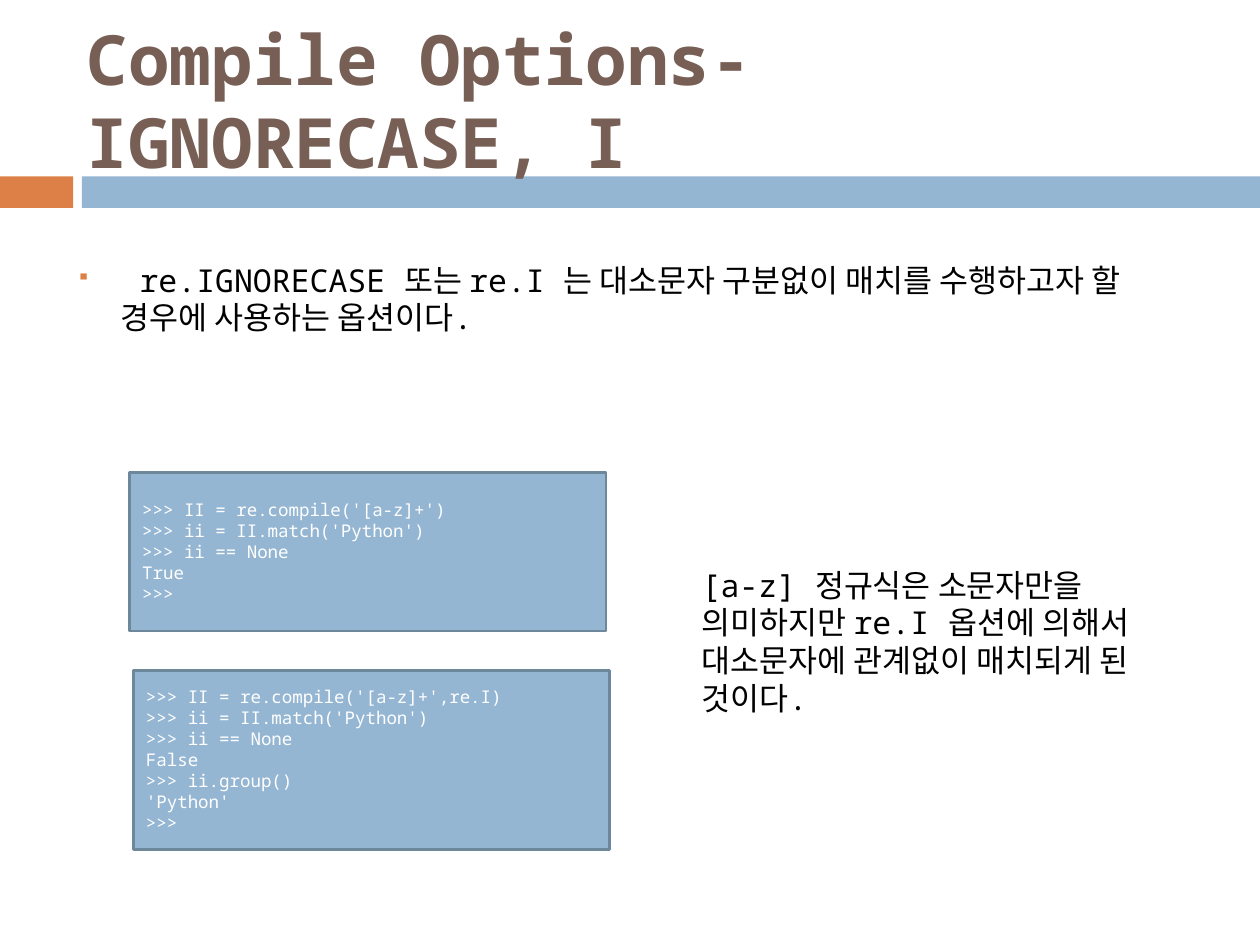
from lxml.etree import SubElement
from pptx import Presentation
from pptx.dml.color import RGBColor
from pptx.enum.shapes import MSO_SHAPE
from pptx.enum.text import MSO_ANCHOR, PP_ALIGN
from pptx.oxml.ns import qn
from pptx.util import Inches, Pt

COLORS = {
    "orange": "DD8047",
    "blue": "94B6D2",
    "border": "6D879B",
    "title": "775F55",
    "text": "000000",
    "code": "FFFFFF",
}
FONT = "Noto Sans Mono"

CASE_SENSITIVE = """>>> II = re.compile('[a-z]+')
>>> ii = II.match('Python')
>>> ii == None
True
>>>"""
CASE_IGNORED = """>>> II = re.compile('[a-z]+',re.I)
>>> ii = II.match('Python')
>>> ii == None
False
>>> ii.group()
'Python'
>>>"""


def rgb(name):
    return RGBColor.from_string(COLORS[name])


def write(frame, text, size, color, bold=False, anchor=MSO_ANCHOR.TOP):
    frame.word_wrap = True
    frame.vertical_anchor = anchor
    frame.text = text
    for paragraph in frame.paragraphs:
        paragraph.alignment = PP_ALIGN.LEFT
        for run in paragraph.runs:
            run.font.name = FONT
            run.font.size = Pt(size)
            run.font.bold = bold
            run.font.color.rgb = rgb(color)


def add_text(slide, box, text, size, color, **style):
    label = slide.shapes.add_textbox(*map(Inches, box))
    write(label.text_frame, text, size, color, **style)
    return label.text_frame


def add_rectangle(slide, box, fill):
    rectangle = slide.shapes.add_shape(MSO_SHAPE.RECTANGLE, *map(Inches, box))
    rectangle.shadow.inherit = False
    rectangle.fill.solid()
    rectangle.fill.fore_color.rgb = rgb(fill)
    rectangle.line.fill.background()
    return rectangle


def add_band(slide, box):
    """Draw the orange tab and the blue bar under the title."""
    left, top, width, height = box
    tab, gap = 0.58, 0.07
    add_rectangle(slide, (left, top, tab, height), "orange")
    add_rectangle(slide, (left + tab + gap, top, width - tab - gap, height), "blue")


def add_bullet_text(slide, box, text):
    paragraph = add_text(slide, box, text, 18, "text").paragraphs[0]
    properties = paragraph._p.get_or_add_pPr()
    properties.set("marL", str(Inches(0.35)))
    properties.set("indent", str(-Inches(0.35)))
    bullet_color = SubElement(properties, qn("a:buClr"))
    SubElement(bullet_color, qn("a:srgbClr"), val=COLORS["orange"])
    SubElement(properties, qn("a:buSzPct"), val="60000")
    SubElement(properties, qn("a:buChar"), char="▪")


def add_code(slide, box, code):
    panel = add_rectangle(slide, box, "blue")
    panel.line.color.rgb = rgb("border")
    panel.line.width = Pt(1.5)
    write(panel.text_frame, code, 10, "code", anchor=MSO_ANCHOR.MIDDLE)


def main():
    presentation = Presentation()
    presentation.slide_width = Inches(10)
    presentation.slide_height = Inches(7.5)
    slide = presentation.slides.add_slide(presentation.slide_layouts[6])

    add_band(slide, (0, 1.4, 10, 0.25))
    add_text(slide, (0.59, 0.25, 9, 1.08), "Compile Options-IGNORECASE, I",
             39.6, "title", bold=True, anchor=MSO_ANCHOR.MIDDLE)
    add_bullet_text(slide, (0.51, 2.02, 9, 1.26),
                    " re.IGNORECASE 또는 re.I 는 대소문자 구분없이 매치를 "
                    "수행하고자 할 경우에 사용하는 옵션이다.")
    add_code(slide, (1.03, 3.75, 3.78, 1.26), CASE_SENSITIVE)
    add_text(slide, (5.47, 4.44, 3.62, 1.31),
             "[a-z] 정규식은 소문자만을 의미하지만 re.I 옵션에 "
             "의해서 대소문자에 관계없이 매치되게 된 것이다.", 18, "text")
    add_code(slide, (1.06, 5.32, 3.78, 1.42), CASE_IGNORED)

    presentation.save("out.pptx")


if __name__ == "__main__":
    main()
